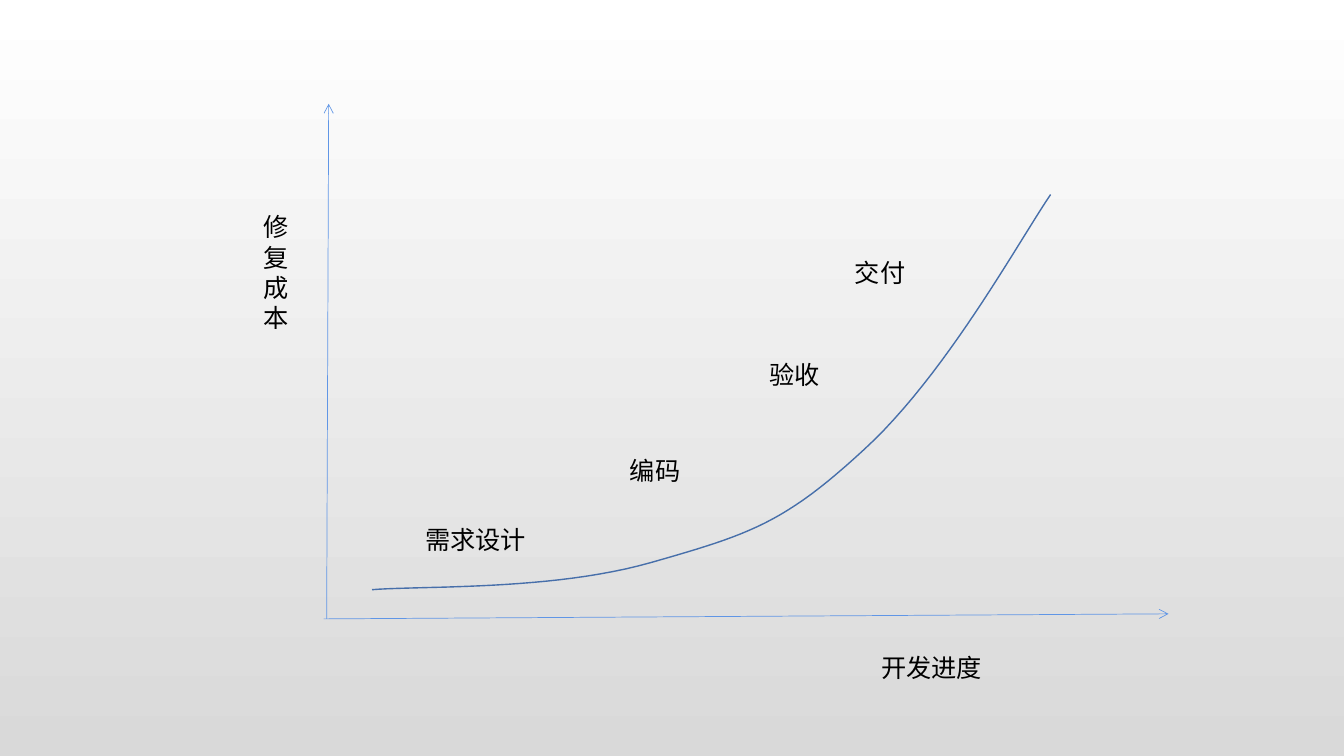
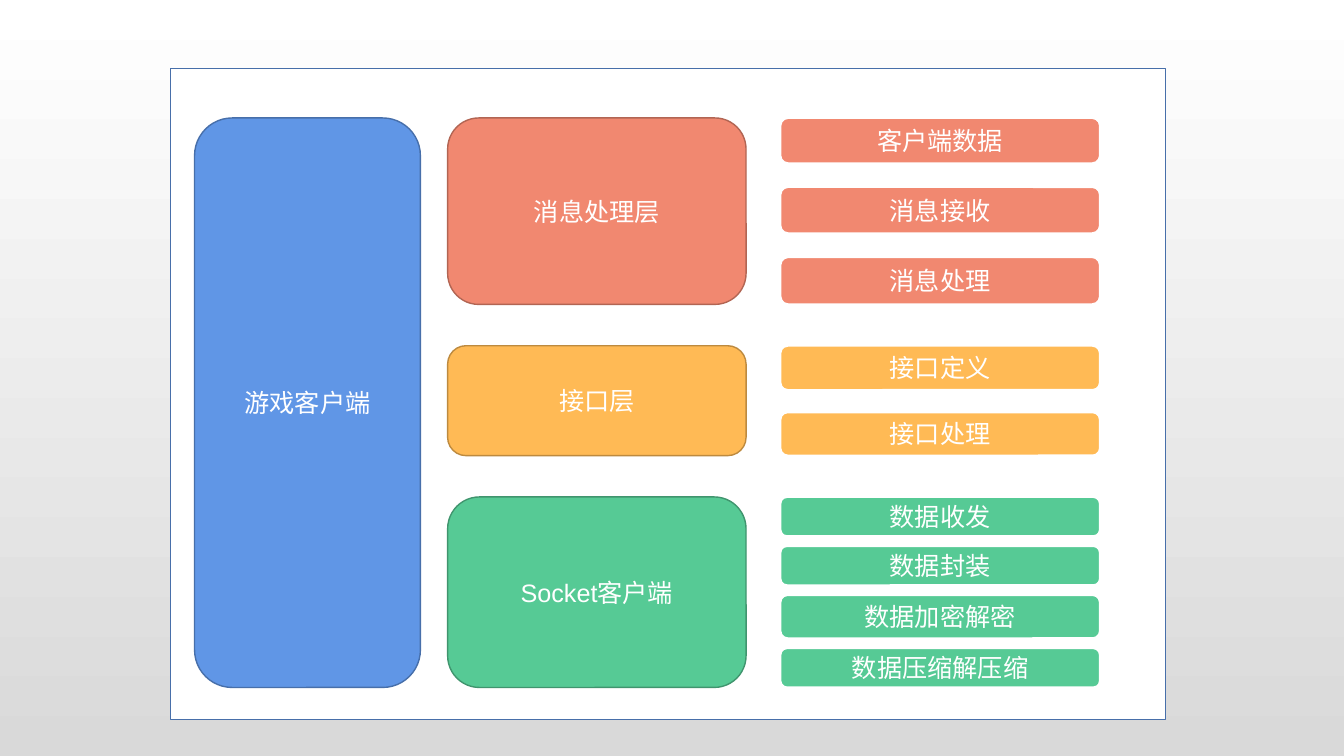
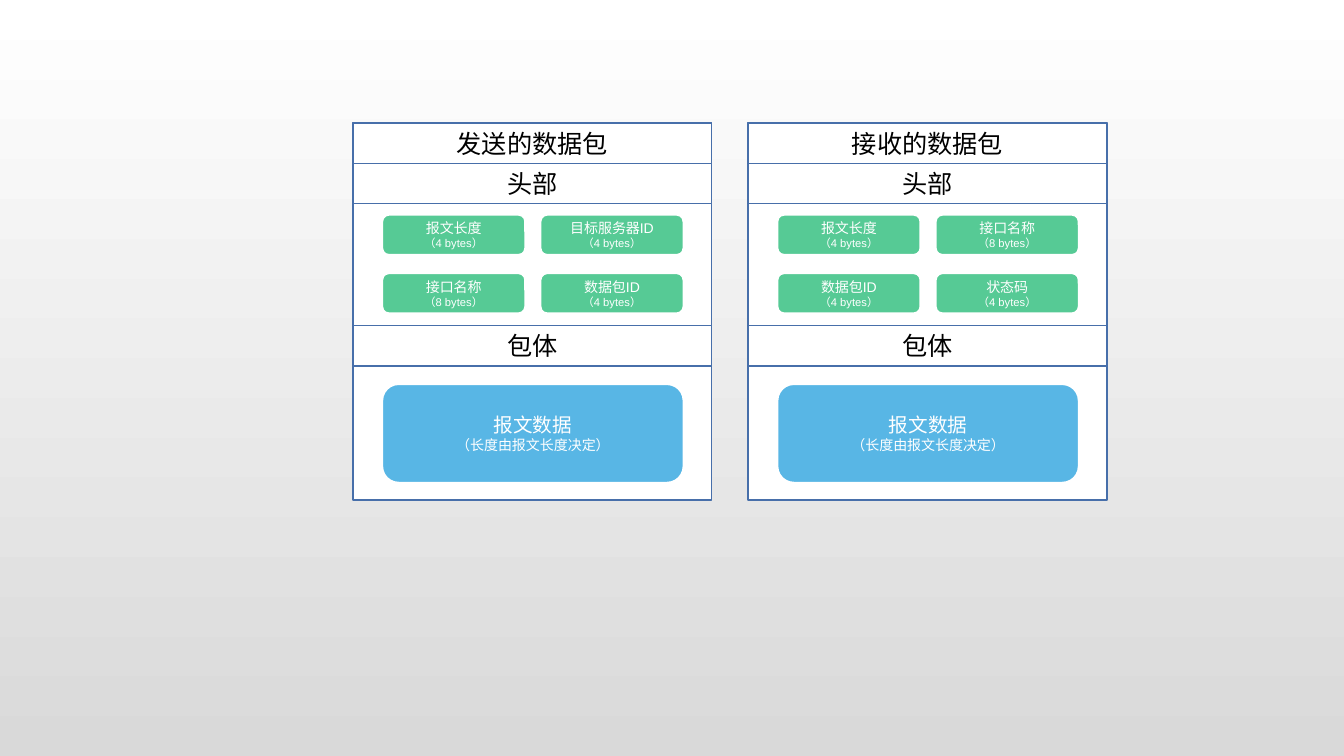
from lxml import etree
from pptx import Presentation
from pptx.dml.color import RGBColor
from pptx.enum.shapes import MSO_CONNECTOR as Connector, MSO_SHAPE as Preset
from pptx.enum.text import MSO_ANCHOR as Anchor, MSO_AUTO_SIZE as AutoSize, PP_ALIGN as Align
from pptx.oxml.ns import qn
from pptx.util import Inches, Pt

# Shared style
FONT = "Arial"
COLORS = {
    "white": "FFFFFF", "black": "000000", "backdrop": "D9D9D9",
    "blue": "6096E6", "outline": "476FAA", "sky": "58B6E5",
    "coral": "F18870", "coral_edge": "B26553",
    "amber": "FFBA55", "amber_edge": "BD8A3F",
    "green": "56CA95", "green_edge": "40956E",
}

# Cost curve: axes, Bezier segments and labels
AXES = [((3.24, 6.14), (3.26, 1.03)), ((3.21, 6.14), (11.59, 6.09))]
CURVE_START = (3.69, 5.85)
CURVE_SEGMENTS = [
    ((4.2, 5.81), (5.48, 5.86), (6.46, 5.58)),
    ((7.44, 5.3), (7.78, 5.19), (8.57, 4.46)),
    ((9.37, 3.73), (10.09, 2.42), (10.42, 1.93)),
]
CURVE_STEPS = 24
CURVE_LABELS = [
    ("开发进度", (8.64, 6.42, 2.31, 0.4)),
    ("修复成本", (2.52, 2.05, 0.44, 1.31)),
    ("需求设计", (4.12, 5.15, 1.55, 0.4)),
    ("编码", (6.15, 4.47, 1.04, 0.4)),
    ("验收", (7.53, 3.52, 0.84, 0.4)),
    ("交付", (8.38, 2.5, 0.92, 0.4)),
]

# Client layers: name, colour, top, height, modules with their heights
CLIENT = "游戏客户端"
LAYERS = [
    ("消息处理层", "coral", 1.17, 1.85,
     [("客户端数据", 0.45), ("消息接收", 0.46), ("消息处理", 0.47)]),
    ("接口层", "amber", 3.43, 1.09, [("接口定义", 0.44), ("接口处理", 0.43)]),
    ("Socket客户端", "green", 4.93, 1.89,
     [("数据收发", 0.39), ("数据封装", 0.39), ("数据加密解密", 0.43), ("数据压缩解压缩", 0.39)]),
]

# Packets: title and header fields with their byte counts
PACKETS = [
    ("发送的数据包", [("报文长度", 4), ("目标服务器ID", 4), ("接口名称", 8), ("数据包ID", 4)]),
    ("接收的数据包", [("报文长度", 4), ("接口名称", 8), ("数据包ID", 4), ("状态码", 4)]),
]
BODY = [("报文数据", 14), ("（长度由报文长度决定）", 10)]


def rgb(name):
    return RGBColor.from_string(COLORS[name])


def inches(values):
    return [Inches(value) for value in values]


def set_line(shape, color, width):
    shape.line.color.rgb = rgb(color)
    shape.line.width = Pt(width)


def write(frame, lines, color, align):
    """Write (text, size) pairs as paragraphs."""
    frame.word_wrap = True
    for index, (text, size) in enumerate(lines):
        paragraph = frame.add_paragraph() if index else frame.paragraphs[0]
        paragraph.alignment = align
        run = paragraph.add_run()
        run.text = text
        for name, value in {"name": FONT, "size": Pt(size)}.items():
            setattr(run.font, name, value)
        run.font.color.rgb = rgb(color)


def add_box(slide, box, lines=(), preset=Preset.RECTANGLE, fill="white",
            line=("outline", 1), color="black"):
    shape = slide.shapes.add_shape(preset, *inches(box))
    shape.shadow.inherit = False
    shape.fill.solid()
    shape.fill.fore_color.rgb = rgb(fill)
    set_line(shape, *line)
    shape.text_frame.vertical_anchor = Anchor.MIDDLE
    write(shape.text_frame, lines, color, Align.CENTER)


def add_card(slide, box, lines, fill, line=("white", 1.5)):
    add_box(slide, box, lines, Preset.ROUNDED_RECTANGLE, fill, line, "white")


def add_axis(slide, start, end):
    axis = slide.shapes.add_connector(Connector.STRAIGHT, *inches(start + end))
    set_line(axis, "blue", 0.5)
    etree.SubElement(axis.line._get_or_add_ln(), qn("a:tailEnd"), type="arrow")
    etree.SubElement(axis._element.spPr, qn("a:effectLst"))


def curve_points():
    """Sample the cubic segments at equal parameter steps."""
    start = CURVE_START
    for first, second, end in CURVE_SEGMENTS:
        for step in range(1, CURVE_STEPS + 1):
            t = step / CURVE_STEPS
            u = 1 - t
            yield tuple(
                Inches(u**3 * a + 3 * u**2 * t * b + 3 * u * t**2 * c + t**3 * d)
                for a, b, c, d in zip(start, first, second, end))
        start = end


def build_cost_curve(slide):
    for start, end in AXES:
        add_axis(slide, start, end)
    builder = slide.shapes.build_freeform(*inches(CURVE_START))
    builder.add_line_segments(curve_points(), close=False)
    curve = builder.convert_to_shape()
    curve.shadow.inherit = False
    curve.fill.background()
    set_line(curve, "outline", 1)
    for text, box in CURVE_LABELS:
        frame = slide.shapes.add_textbox(*inches(box)).text_frame
        write(frame, [(text, 18)], "black", Align.LEFT)
        frame.auto_size = AutoSize.SHAPE_TO_FIT_TEXT


def build_client_layers(slide):
    add_box(slide, (1.69, 0.68, 9.87, 6.46))
    add_card(slide, (1.93, 1.17, 2.24, 5.65), [(CLIENT, 18)], "blue", ("outline", 1))
    for name, color, top, height, modules in LAYERS:
        add_card(slide, (4.44, top, 2.96, height), [(name, 18)], color, (color + "_edge", 1))
        # Modules fill the layer's height with equal gaps
        gap = (height - sum(size for _, size in modules)) / (len(modules) - 1)
        for module, size in modules:
            add_card(slide, (7.74, top, 3.17, size), [(module, 18)], color)
            top += size + gap


def build_packets(slide):
    width, row = 3.56, 0.4
    for index, (title, fields) in enumerate(PACKETS):
        left = 3.5 + index * 3.92
        inner = left + 0.29
        add_box(slide, (left, 1.22, width, 3.74))
        for text, top in ((title, 1.22), ("头部", 1.62), ("包体", 3.23)):
            add_box(slide, (left, top, width, row), [(text, 18)])
        # Header fields in a two-column grid
        for position, (field, size) in enumerate(fields):
            line, column = divmod(position, 2)
            box = (inner + column * 1.57, 2.13 + line * 0.58, 1.42, row)
            add_card(slide, box, [(field, 10), (f"（{size} bytes）", 8)], "green")
        add_card(slide, (inner, 3.81, 2.99, 0.98), BODY, "sky")


def main():
    presentation = Presentation()
    presentation.slide_width, presentation.slide_height = inches((13.33, 7.5))

    # Gradient background shared through the master
    fill = presentation.slide_master.background.fill
    fill.gradient()
    fill.gradient_angle = 270
    for stop, color in zip(fill.gradient_stops, ("white", "backdrop")):
        stop.color.rgb = rgb(color)

    for build in (build_cost_curve, build_client_layers, build_packets):
        build(presentation.slides.add_slide(presentation.slide_layouts[6]))
    presentation.save("out.pptx")


if __name__ == "__main__":
    main()
